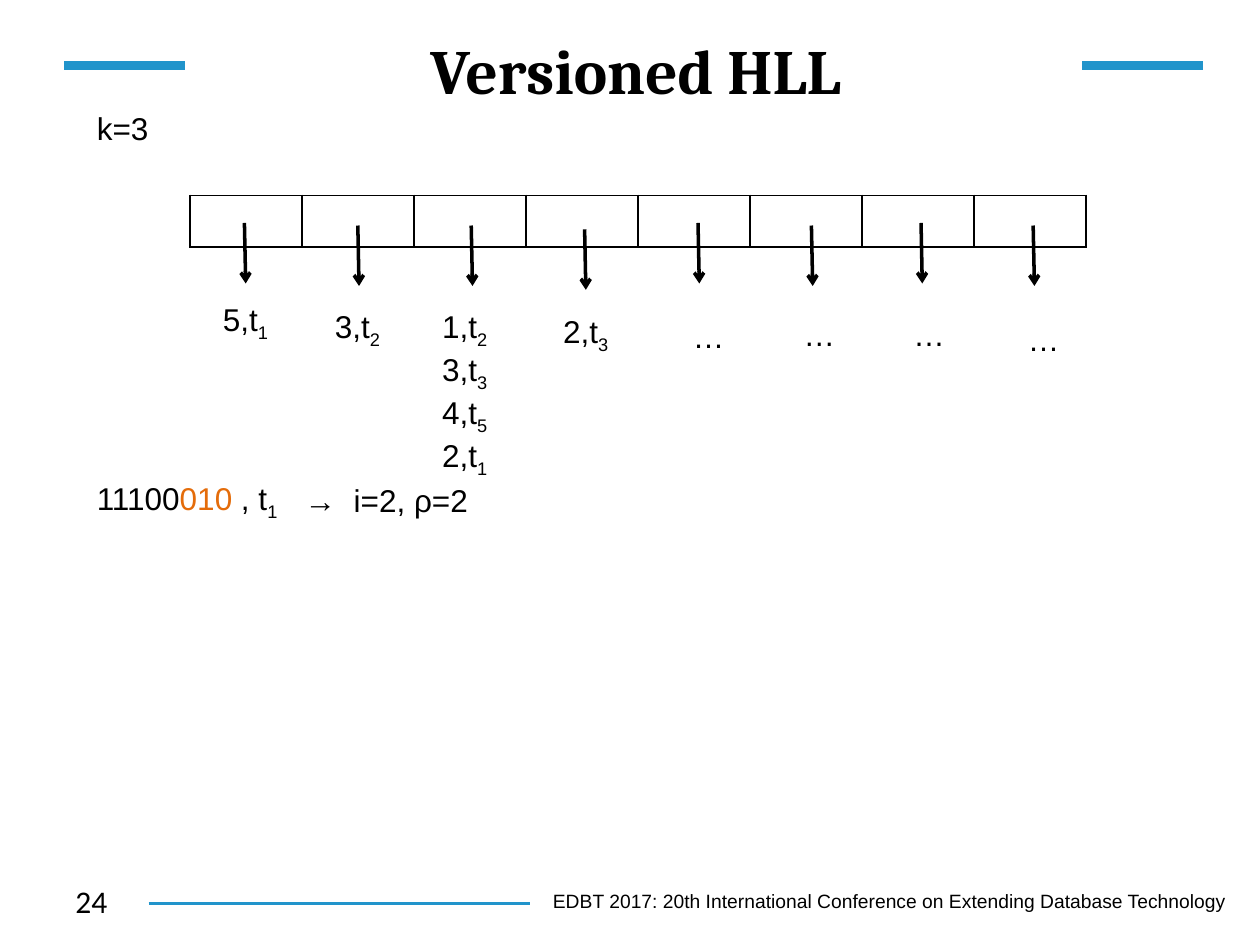
from lxml.etree import SubElement
from pptx import Presentation
from pptx.dml.color import RGBColor
from pptx.enum.shapes import MSO_CONNECTOR
from pptx.enum.text import MSO_ANCHOR, MSO_AUTO_SIZE, PP_ALIGN
from pptx.oxml import parse_xml
from pptx.oxml.ns import nsdecls, qn
from pptx.util import Inches, Pt


def add_line(x1, y1, x2, y2, color, width):
    line = s.shapes.add_connector(MSO_CONNECTOR.STRAIGHT, Inches(x1), Inches(y1), Inches(x2), Inches(y2))
    line.line.color.rgb = RGBColor.from_string(color)
    line.line.width = Pt(width)
    SubElement(line._element.spPr, qn("a:effectLst"))
    return line


def add_text(x, y, w, h, lines, size=18, font="Arial", wrap=False):
    tf = s.shapes.add_textbox(Inches(x), Inches(y), Inches(w), Inches(h)).text_frame
    tf.word_wrap = wrap
    tf.auto_size = MSO_AUTO_SIZE.NONE if wrap else MSO_AUTO_SIZE.SHAPE_TO_FIT_TEXT
    for i, runs in enumerate(lines):
        p = tf.add_paragraph() if i else tf.paragraphs[0]
        p.font.size = Pt(size)
        p.font.name = font
        p.font.color.rgb = RGBColor.from_string("000000")
        for text in runs:
            r = p.add_run()
            r.text = text.lstrip("_")
            r.font.size = Pt(size)
            r.font.name = font
            r.font.color.rgb = RGBColor.from_string("000000")
            if text.startswith("_"):
                r.font._element.set("baseline", "-25000")
    return tf


prs = Presentation()
prs.slide_width, prs.slide_height = Inches(10), Inches(7.5)
s = prs.slides.add_slide(prs.slide_layouts[5])

add_text(4.29, 7.01, 5.6, 0.29, [["EDBT 2017: 20th International Conference on Extending Database Technology"]], 11)
for x1, x2, y, width in [(0.51, 1.47, 0.52, 5), (8.59, 9.55, 0.52, 5), (1.18, 4.21, 7.17, 1.5)]:
    add_line(x1, y, x2, y, "2194CB", width)

title = s.shapes.title
title.left, title.top, title.width, title.height = Inches(1.54), Inches(0.13), Inches(7.01), Inches(0.84)
tf = title.text_frame
tf.text = "Versioned HLL"
tf.vertical_anchor = MSO_ANCHOR.MIDDLE
p = tf.paragraphs[0]
p.alignment = PP_ALIGN.CENTER
p.font.size = Pt(36)
p.font.name = "Cambria"
p.font.bold = True
p.font.color.rgb = RGBColor.from_string("000000")

add_text(0.5, 6.95, 2.33, 0.4, [["24"]], font="Calibri", wrap=True)

table = s.shapes.add_table(1, 8, Inches(1.51), Inches(1.55), Inches(7.11), Inches(0.41)).table
table.first_row = False
table.horz_banding = False
for cell in table.iter_cells():
    tcPr = cell._tc.get_or_add_tcPr()
    for side in ("lnL", "lnR", "lnT", "lnB"):
        tcPr.append(parse_xml(
            f'<a:{side} {nsdecls("a")} w="12700"><a:solidFill><a:srgbClr val="000000"/></a:solidFill></a:{side}>'))
    cell.fill.background()

arrows = [(1.94, 1.77), (2.84, 1.79), (3.74, 1.79), (4.64, 1.82),
          (5.54, 1.77), (6.44, 1.79), (7.31, 1.77), (8.2, 1.79)]
for x, y in arrows:
    arrow = add_line(x, y, x + 0.01, y + 0.48, "000000", 2)
    SubElement(arrow.line._get_or_add_ln(), qn("a:tailEnd"), type="arrow")

entries = [
    (1.67, 2.33, [["5,t", "_1"]]),
    (2.56, 2.39, [["3,t", "_2"]]),
    (3.41, 2.39, [["1,t", "_2"], ["3,t", "_3"], ["4,t", "_5"], ["2,t", "_1"]]),
    (4.37, 2.43, [["2,t", "_3"]]),
]
for x, y, lines in entries:
    add_text(x, y, 0.58, 0.1 + 0.3 * len(lines), lines)
for x, y in [(5.4, 2.47), (6.28, 2.45), (7.15, 2.45), (8.06, 2.49)]:
    add_text(x, y, 0.38, 0.4, [["…"]])

add_text(0.67, 0.82, 0.62, 0.4, [["k=3"]])
tf = add_text(0.67, 3.75, 1.66, 0.4, [["11100", "010", " , t", "_1"]])
tf.paragraphs[0].runs[1].font.color.rgb = RGBColor.from_string("E46C0A")
add_text(2.32, 3.77, 1.51, 0.4, [["→  i=2, ρ=2"]])

prs.save("out.pptx")
